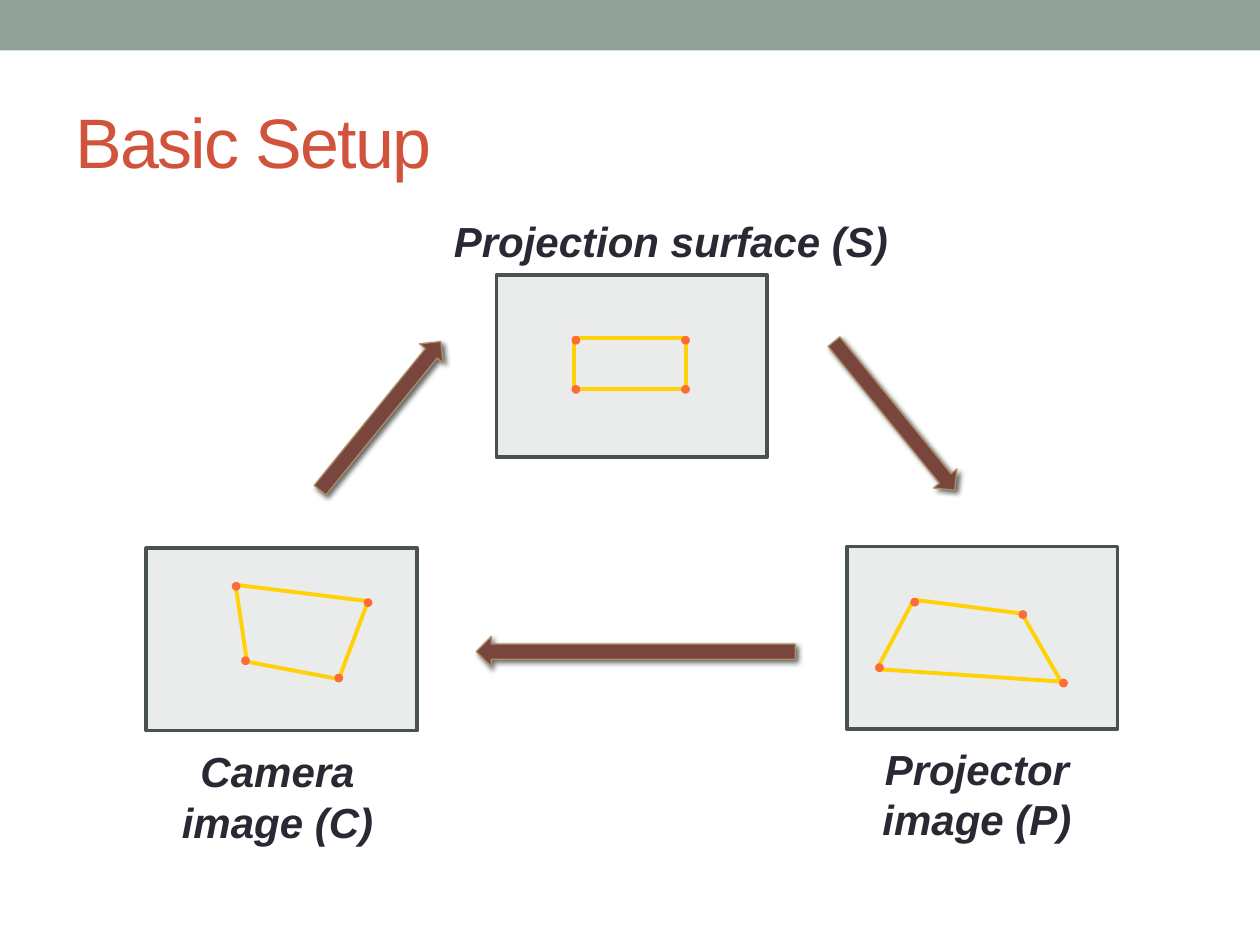
from lxml import etree
from pptx import Presentation
from pptx.dml.color import RGBColor
from pptx.enum import shapes, text
from pptx.oxml import ns
from pptx.util import Cm, Pt

INK = {
    "bar": "93A299", "title": "D2533C", "edge": "47534C", "quad": "FFD109",
    "dot": "FD6C37", "text": "292934", "arrow": "79463D", "rim": "AD8F67",
    "shade": "000000",
}
KIND = shapes.MSO_SHAPE


class Deck:
    """Style and current slide."""
    font = "Arial"
    frame = (5.46, 3.68)
    dot = 0.15

    def __init__(self):
        self.prs = Presentation()
        self.prs.slide_width, self.prs.slide_height = Cm(25.4), Cm(19.05)
        self.slide = self.prs.slides.add_slide(self.prs.slide_layouts[5])

    def ink(self, name):
        return RGBColor.from_string(INK[name])

    def paint(self, shape, fill=None, line=None, width=0.75):
        shape.shadow.inherit = False
        if fill:
            shape.fill.solid()
            shape.fill.fore_color.rgb = self.ink(fill)
        else:
            shape.fill.background()
        if line:
            shape.line.color.rgb = self.ink(line)
            shape.line.width = Pt(width)
        else:
            shape.line.fill.background()
        return shape

    def shape(self, kind, box, *look):
        made = self.slide.shapes.add_shape(kind, *map(Cm, box))
        return self.paint(made, *look)

    def style(self, para, size, color):
        para.font.name, para.font.size = self.font, Pt(size)
        para.font.color.rgb = self.ink(color)

    def title(self, words, box):
        head = self.slide.shapes.title
        head.left, head.top, head.width, head.height = map(Cm, box)
        frame = head.text_frame
        frame.text = words
        frame.vertical_anchor = text.MSO_ANCHOR.MIDDLE
        para = frame.paragraphs[0]
        para.alignment = text.PP_ALIGN.LEFT
        self.style(para, 40, "title")
        para.runs[0].font._element.set("spc", "-100")

    def label(self, words, box):
        frame = self.slide.shapes.add_textbox(*map(Cm, box)).text_frame
        frame.word_wrap = True
        para = frame.paragraphs[0]
        para.text = words
        para.alignment = text.PP_ALIGN.CENTER
        self.style(para, 24, "text")
        para.font.bold = para.font.italic = True

    def screen(self, left, top):
        pane = self.shape(KIND.RECTANGLE, (left, top, *self.frame),
                          "bar", "edge", 2.08)
        tint = pane._element.spPr.find(".//" + ns.qn("a:srgbClr"))
        etree.SubElement(tint, ns.qn("a:alpha"), val="20000")

    def quad(self, pts):
        first, *rest = [(Cm(x), Cm(y)) for x, y in pts]
        line = self.slide.shapes.build_freeform(*first)
        line.add_line_segments(rest, close=True)
        self.paint(line.convert_to_shape(), None, "quad", 2.25)

    def dots(self, pts):
        for x, y in pts:
            box = (x - self.dot / 2, y - self.dot / 2, self.dot, self.dot)
            self.shape(KIND.OVAL, box, "dot", "dot")

    def arrow(self, box, turn):
        made = self.shape(KIND.RIGHT_ARROW, box, "arrow", "rim")
        made.rotation = turn
        # Soft shadow towards the lower right
        glow = made._element.spPr.find(ns.qn("a:effectLst"))
        cast = etree.SubElement(
            glow, ns.qn("a:outerShdw"), blurRad=str(int(Pt(3))),
            dist=str(int(Pt(2))), dir="2700000", rotWithShape="0")
        tint = etree.SubElement(cast, ns.qn("a:srgbClr"), val=INK["shade"])
        etree.SubElement(tint, ns.qn("a:alpha"), val="60000")


def main():
    deck = Deck()

    # Top bar and title
    deck.shape(KIND.RECTANGLE, (0, 0, 25.4, 1.02), "bar")
    deck.title("Basic Setup", (1.27, 1.47, 22.86, 2.74))

    # Camera image
    deck.screen(2.95, 11.05)
    deck.quad([(4.98, 13.34), (4.75, 11.79), (7.42, 12.12), (6.83, 13.69)])
    deck.dots([(4.76, 11.82), (4.95, 13.32), (7.42, 12.15), (6.83, 13.67)])
    deck.label("Camera image (C)", (2.79, 14.91, 5.61, 2.31))

    # Projection surface
    deck.screen(10.01, 5.54)
    deck.shape(KIND.RECTANGLE, (11.58, 6.81, 2.26, 1.04), None, "quad", 2.25)
    deck.dots([(x, y) for x in (11.61, 13.82) for y in (6.86, 7.85)])
    deck.label("Projection surface (S)", (8.84, 4.22, 9.37, 1.27))

    # Projector image
    deck.screen(17.07, 11.02)
    deck.quad([(17.68, 13.49), (18.42, 12.09), (20.6, 12.37), (21.39, 13.74)])
    deck.dots([(18.44, 12.14), (17.73, 13.46), (20.62, 12.39), (21.44, 13.77)])
    deck.label("Projector image (P)", (16.89, 14.86, 5.61, 2.31))

    # Arrows of the cycle
    deck.arrow((9.6, 12.83, 6.43, 0.61), 180)
    deck.arrow((5.74, 8.08, 3.86, 0.61), -50.9)
    deck.arrow((16.1, 8.08, 3.86, 0.61), 50.9)

    deck.prs.save("out.pptx")


if __name__ == "__main__":
    main()
